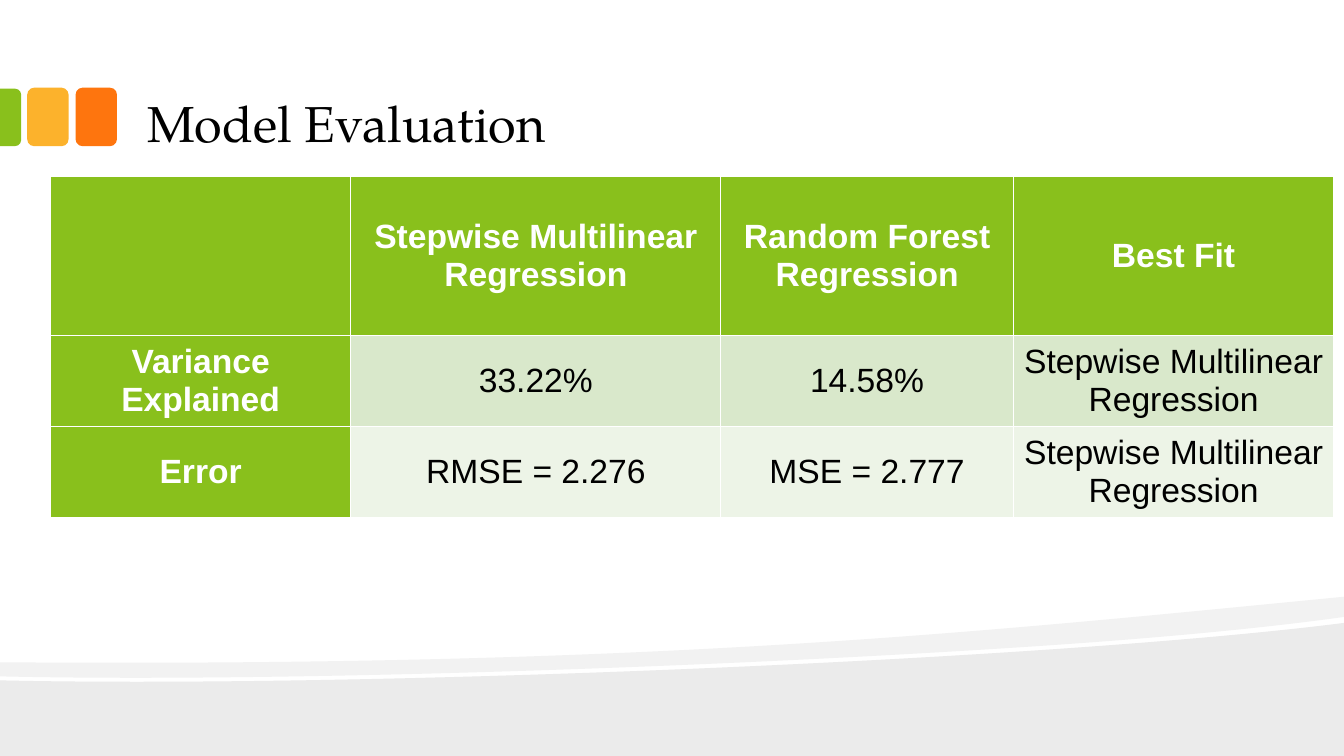
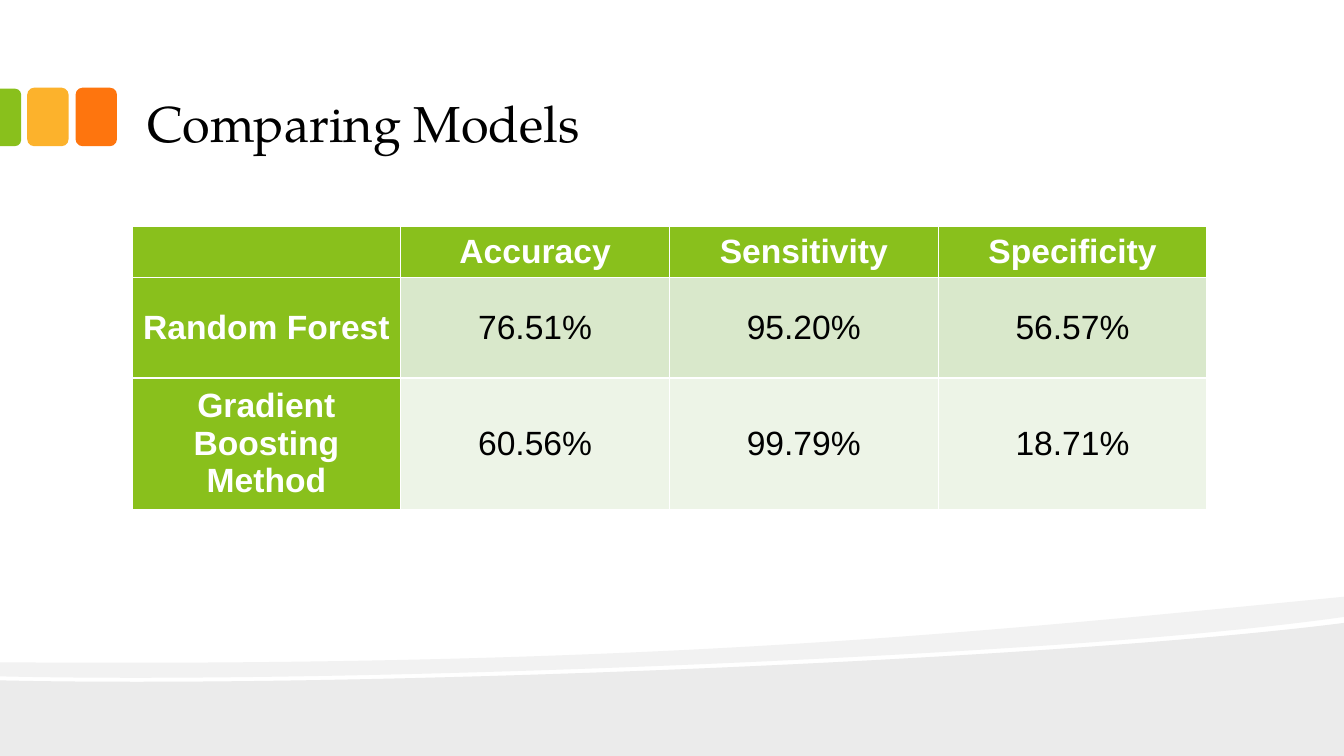
from pptx import Presentation
from pptx.dml.color import RGBColor
from pptx.enum.shapes import MSO_SHAPE as SHAPE
from pptx.enum.text import MSO_ANCHOR as ANCHOR, PP_ALIGN as ALIGN
from pptx.oxml.ns import qn
from pptx.util import Inches, Pt

COLORS = {
    "green": "89C01C", "amber": "FCB22C", "orange": "FE750E",
    "row_dark": "D9E8CB", "row_light": "EDF4E7",
    "wave": "EBEBEB", "ribbon": "F2F2F2",
    "white": "FFFFFF", "black": "000000",
}
BODY_FILLS = ["row_dark", "row_light"]

# Each outline is a start point and segments: one point for a line, three for a curve
WAVES = [
    ("wave", (13.33, 6.18), [[(13.33, 7.5)], [(0, 7.5)], [(0, 6.75)],
                             [(3.52, 6.83), (10.42, 6.55), (13.33, 6.18)]]),
    ("ribbon", (13.33, 5.92), [[(13.33, 6.12)],
                               [(12.55, 6.23), (11.49, 6.33), (10.29, 6.41)],
                               [(6.98, 6.63), (2.58, 6.77), (0, 6.71)],
                               [(0, 6.57)],
                               [(6.52, 6.62), (9.71, 6.27), (13.33, 5.92)]]),
]

# Tab shapes: colour, preset, left, top, width, height, rotation, adjustments
TABS = [
    ("orange", SHAPE.ROUNDED_RECTANGLE, 0.75, 0.87, 0.41, 0.58, 0, [0.167]),
    ("amber", SHAPE.ROUNDED_RECTANGLE, 0.27, 0.87, 0.41, 0.58, 0, [0.167]),
    ("green", SHAPE.ROUND_2_SAME_RECTANGLE, -0.18, 1.06, 0.57, 0.21, 90, [0.292, 0]),
]

SLIDES = [
    {"title": "Model Evaluation", "left": 0.5, "top": 1.75, "height": 3.38,
     "cols": [2.98, 3.67, 2.9, 3.18], "rows": [1.58, 0.88, 0.88],
     "cells": [
         ["", "Stepwise Multilinear Regression", "Random Forest Regression", "Best Fit"],
         ["Variance Explained", "33.22%", "14.58%", "Stepwise Multilinear Regression"],
         ["Error", "RMSE = 2.276", "MSE = 2.777", "Stepwise Multilinear Regression"]]},
    {"title": "Comparing Models", "left": 1.31, "top": 2.25, "height": 2.8,
     "cols": [10.66 / 4] * 4, "rows": [0.41, 1, 0.41],
     "cells": [
         ["", "Accuracy", "Sensitivity", "Specificity"],
         ["Random Forest", "76.51%", "95.20%", "56.57%"],
         ["Gradient Boosting Method", "60.56%", "99.79%", "18.71%"]]},
]


def write(tf, text, font="Arial", size=24, color="black", bold=False, align=ALIGN.LEFT):
    tf.word_wrap = True
    p = tf.paragraphs[0]
    p.alignment = align
    r = p.add_run()
    r.text = text
    r.font.name = font
    r.font.size = Pt(size)
    r.font.bold = bold
    r.font.color.rgb = RGBColor.from_string(COLORS[color])


def paint(sp, color):
    sp.shadow.inherit = False
    sp.fill.solid()
    sp.fill.fore_color.rgb = RGBColor.from_string(COLORS[color])
    sp.line.fill.background()


prs = Presentation()
prs.slide_width, prs.slide_height = Inches(13.33), Inches(7.5)

for content in SLIDES:
    s = prs.slides.add_slide(prs.slide_layouts[6])

    # Waves along the bottom
    for color, (x0, y0), segments in WAVES:
        builder = s.shapes.build_freeform(Inches(x0), Inches(y0))
        builder.add_line_segments([(Inches(x), Inches(y)) for seg in segments for x, y in seg])
        sp = builder.convert_to_shape()
        paint(sp, color)

        # Join each group of three points into one Bézier curve
        lines = iter(list(sp._element.iter(qn("a:lnTo"))))
        for seg in segments:
            first, *others = [next(lines) for point in seg]
            if others:
                first.tag = qn("a:cubicBezTo")
            for line in others:
                first.append(line[0])
                line.getparent().remove(line)

    # Coloured tabs beside the title
    for color, preset, left, top, width, height, turn, adjustments in TABS:
        sp = s.shapes.add_shape(preset, Inches(left), Inches(top), Inches(width), Inches(height))
        sp.rotation = turn
        for i, value in enumerate(adjustments):
            sp.adjustments[i] = value
        paint(sp, color)

    # Title
    tf = s.shapes.add_textbox(Inches(1.33), Inches(0.16), Inches(10.66), Inches(1.42)).text_frame
    tf.vertical_anchor = ANCHOR.BOTTOM
    tf.margin_left = tf.margin_right = Inches(0.13)
    tf.margin_top = tf.margin_bottom = Inches(0.07)
    write(tf, content["title"], font="TeX Gyre Pagella", size=36)

    # Table: its default style draws the white borders
    cols, rows = content["cols"], content["rows"]
    frame = s.shapes.add_table(len(rows), len(cols), Inches(content["left"]), Inches(content["top"]),
                               Inches(sum(cols)), Inches(content["height"]))
    table = frame.table
    table.first_col = True
    for column, width in zip(table.columns, cols):
        column.width = Inches(width)
    for row, height in zip(table.rows, rows):
        row.height = Inches(height)
    frame.height = Inches(content["height"])

    for i, texts in enumerate(content["cells"]):
        for j, text in enumerate(texts):
            cell = table.cell(i, j)
            heading = i == 0 or j == 0
            cell.vertical_anchor = ANCHOR.MIDDLE
            if text:
                write(cell.text_frame, text, color="white" if heading else "black",
                      bold=heading, align=ALIGN.CENTER)
            cell.fill.solid()
            cell.fill.fore_color.rgb = RGBColor.from_string(
                COLORS["green" if heading else BODY_FILLS[i - 1]])

prs.save("out.pptx")
